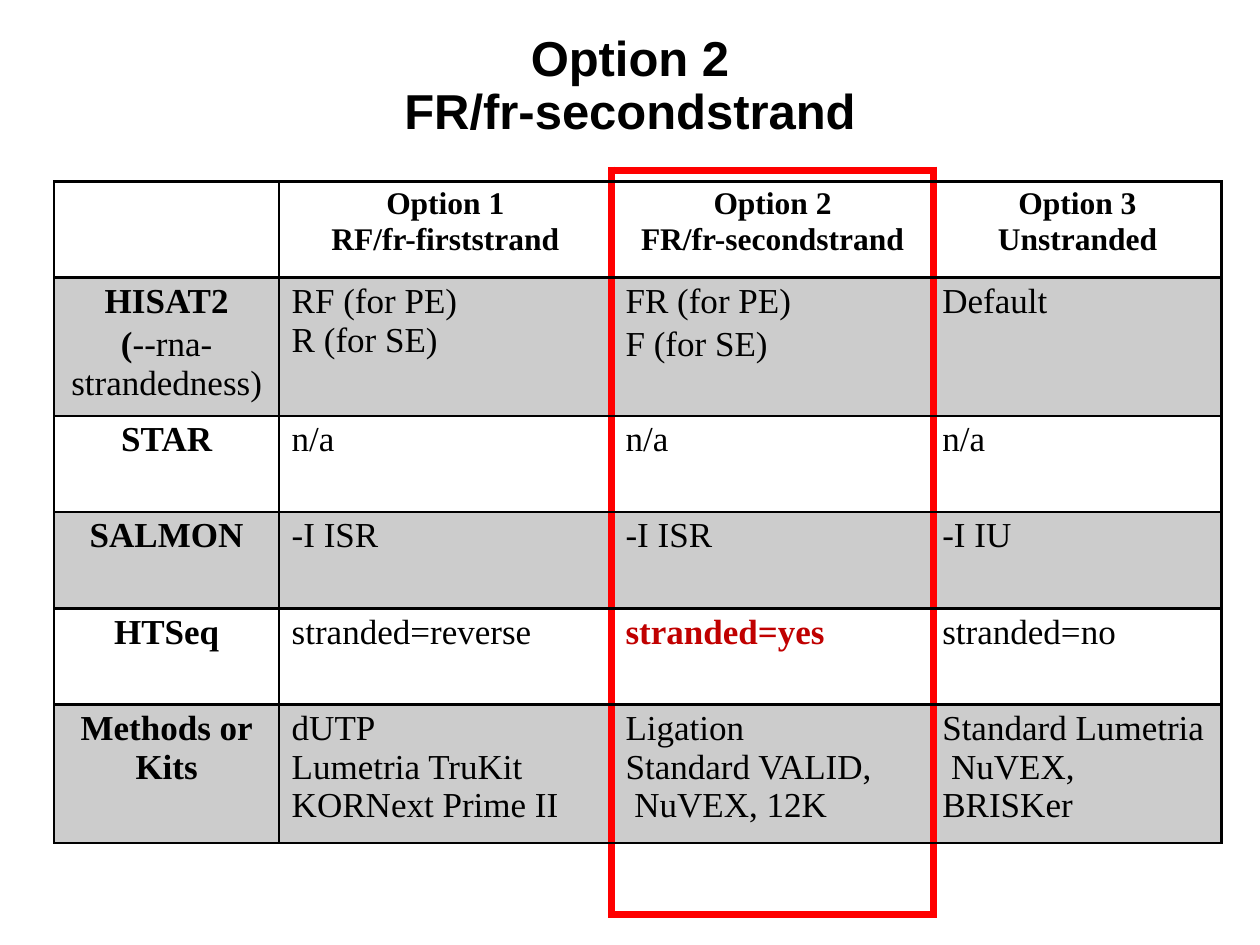
from dataclasses import dataclass
from typing import Optional

from lxml import etree
from pptx import Presentation
from pptx.dml.color import RGBColor
from pptx.enum.text import MSO_ANCHOR, MSO_AUTO_SIZE, PP_ALIGN
from pptx.oxml.ns import qn
from pptx.util import Pt

CENTER, LEFT = PP_ALIGN.CENTER, PP_ALIGN.LEFT
TOP = MSO_ANCHOR.TOP
NO_AUTOFIT = MSO_AUTO_SIZE.NONE
TITLE_ONLY = 5


@dataclass(frozen=True)
class Theme:
    heading_font: str = "Arial"
    table_font: str = "Times New Roman"
    title_size: float = 28
    header_size: float = 18
    body_size: float = 20
    spacer_size: float = 3
    ink: str = "000000"
    accent: str = "C00000"
    highlight: str = "FF0000"
    band: str = "CCCCCC"
    paper: str = "FFFFFF"
    rule: float = 1.5
    header_rule: float = 2.25
    highlight_rule: float = 4.5


@dataclass(frozen=True)
class Entry:
    """Cell text; tail is an unbolded run added to the last paragraph."""
    text: str
    tail: str = ""
    accent: bool = False


@dataclass(frozen=True)
class Line:
    color: str
    width: float


THEME = Theme()
TABLE_LEFT, TABLE_TOP = 31, 97.2
COL_WIDTHS = [128.5, 190, 184, 164.5]
ROW_HEIGHTS = [6.5, 55, 79, 55, 55, 55, 79, 41]
INDENTS = [0, 7.2, 8, 5]
HIGHLIGHT_COL = 2
HEADER_ROW = 1
LAST_ROW = len(ROW_HEIGHTS) - 1

# "\n" starts a paragraph, "\v" a line within it.
ROWS = [
    [Entry(""), Entry("Option 1\vRF/fr-firststrand"),
     Entry("Option 2\vFR/fr-secondstrand"), Entry("Option 3\vUnstranded")],
    [Entry("HISAT2\n(", tail="--rna-strandedness)"),
     Entry("RF (for PE)\vR (for SE)"), Entry("FR (for PE)\nF (for SE)"),
     Entry("Default")],
    [Entry("STAR"), Entry("n/a"), Entry("n/a"), Entry("n/a")],
    [Entry("SALMON"), Entry("-I ISR"), Entry("-I ISR"), Entry("-I IU")],
    [Entry("HTSeq"), Entry("stranded=reverse"),
     Entry("stranded=yes", accent=True), Entry("stranded=no")],
    [Entry("Methods or\vKits"),
     Entry("dUTP\vLumetria TruKit\vKORNext Prime II"),
     Entry("Ligation\vStandard VALID,\v NuVEX, 12K"),
     Entry("Standard Lumetria\v NuVEX,\vBRISKer")],
]


def write(tf, text: str, *, font: str, size: float, color: str = THEME.ink,
          bold: bool = False, align=LEFT, before: float = 2.5,
          spacing=None, append: bool = False) -> None:
    """Fill a text frame, or with append continue its last paragraph."""
    for i, block in enumerate(text.split("\n")):
        if append:
            p = tf.paragraphs[-1]
        else:
            p = tf.add_paragraph() if i else tf.paragraphs[0]
        p.alignment = align
        p.space_before = Pt(before)
        p.line_spacing = spacing
        for j, part in enumerate(block.split("\v")):
            if j:
                p.add_line_break()
            r = p.add_run()
            r.text = part
            r.font.name = font
            r.font.size = Pt(size)
            r.font.bold = bold
            r.font.color.rgb = RGBColor.from_string(color)


def vertical_line(row: int, edge: int) -> Optional[Line]:
    if edge in (HIGHLIGHT_COL, HIGHLIGHT_COL + 1):
        return Line(THEME.highlight, THEME.highlight_rule)
    if HEADER_ROW <= row < LAST_ROW:
        return Line(THEME.ink, THEME.rule)
    return None


def horizontal_line(edge: int, col: int) -> Optional[Line]:
    if edge in (0, LAST_ROW + 1):
        if col == HIGHLIGHT_COL:
            return Line(THEME.highlight, THEME.highlight_rule)
        return None
    below_header = edge == HEADER_ROW + 1
    return Line(THEME.ink, THEME.header_rule if below_header else THEME.rule)


def set_borders(cell, row: int, col: int) -> None:
    right = col + (cell.span_width if cell.is_merge_origin else 1)
    lines = {
        "a:lnL": vertical_line(row, col),
        "a:lnR": vertical_line(row, right),
        "a:lnT": horizontal_line(row, col),
        "a:lnB": horizontal_line(row + 1, col),
    }
    # Border elements must precede the fill in the cell properties.
    tc_pr = cell._tc.get_or_add_tcPr()
    for i, (tag, line) in enumerate(lines.items()):
        ln = etree.Element(qn(tag))
        tc_pr.insert(i, ln)
        if line is None:
            etree.SubElement(ln, qn("a:noFill"))
            continue
        ln.set("w", str(Pt(line.width)))
        fill = etree.SubElement(ln, qn("a:solidFill"))
        etree.SubElement(fill, qn("a:srgbClr"), val=line.color)


def shrink_empty(cell) -> None:
    """Keep an empty cell from making its row taller."""
    end = etree.SubElement(cell.text_frame.paragraphs[0]._p, qn("a:endParaRPr"))
    end.set("sz", str(int(THEME.spacer_size * 100)))


def fill_entry(cell, entry: Entry, row: int, col: int) -> None:
    header = row == HEADER_ROW
    centered = header or col == 0
    fmt = dict(font=THEME.table_font,
               size=THEME.header_size if header else THEME.body_size,
               align=CENTER if centered else LEFT,
               spacing=1.02 if header else None)
    cell.margin_top = Pt(2.5)
    cell.margin_left = Pt(0 if centered else INDENTS[col])
    write(cell.text_frame, entry.text, bold=centered or entry.accent,
          color=THEME.accent if entry.accent else THEME.ink, **fmt)
    if entry.tail:
        write(cell.text_frame, entry.tail, append=True, **fmt)


def add_title(s) -> None:
    title = s.shapes.title
    title.left, title.top = Pt(230), Pt(14.4)
    title.width, title.height = Pt(260), Pt(65.5)
    tf = title.text_frame
    tf.word_wrap = True
    tf.auto_size = NO_AUTOFIT
    tf.vertical_anchor = TOP
    tf.margin_left = tf.margin_right = tf.margin_bottom = 0
    tf.margin_top = Pt(5)
    write(tf, "Option 2\vFR/fr-secondstrand", font=THEME.heading_font,
          size=THEME.title_size, bold=True, align=CENTER, before=5,
          spacing=Pt(30))


def add_options_table(s) -> None:
    frame = s.shapes.add_table(
        len(ROW_HEIGHTS), len(COL_WIDTHS), Pt(TABLE_LEFT), Pt(TABLE_TOP),
        Pt(sum(COL_WIDTHS)), Pt(sum(ROW_HEIGHTS)))
    table = frame.table
    table.first_row = table.horz_banding = False
    for column, width in zip(table.columns, COL_WIDTHS):
        column.width = Pt(width)
    for table_row, height in zip(table.rows, ROW_HEIGHTS):
        table_row.height = Pt(height)
    for row in (0, LAST_ROW):
        table.cell(row, 0).merge(table.cell(row, 1))
    for row in range(len(ROW_HEIGHTS)):
        in_body = HEADER_ROW <= row < LAST_ROW
        for col in range(len(COL_WIDTHS)):
            cell = table.cell(row, col)
            cell.margin_left = cell.margin_right = 0
            cell.margin_top = cell.margin_bottom = 0
            if in_body:
                cell.fill.solid()
                banded = row % 2 == 0
                cell.fill.fore_color.rgb = RGBColor.from_string(
                    THEME.band if banded else THEME.paper)
            else:
                cell.fill.background()
            set_borders(cell, row, col)
            entry = ROWS[row - HEADER_ROW][col] if in_body else None
            if entry and entry.text:
                fill_entry(cell, entry, row, col)
            else:
                shrink_empty(cell)


def main() -> None:
    prs = Presentation()
    prs.slide_width, prs.slide_height = Pt(720), Pt(540)
    s = prs.slides.add_slide(prs.slide_layouts[TITLE_ONLY])
    add_title(s)
    add_options_table(s)
    prs.save("out.pptx")


if __name__ == "__main__":
    main()
